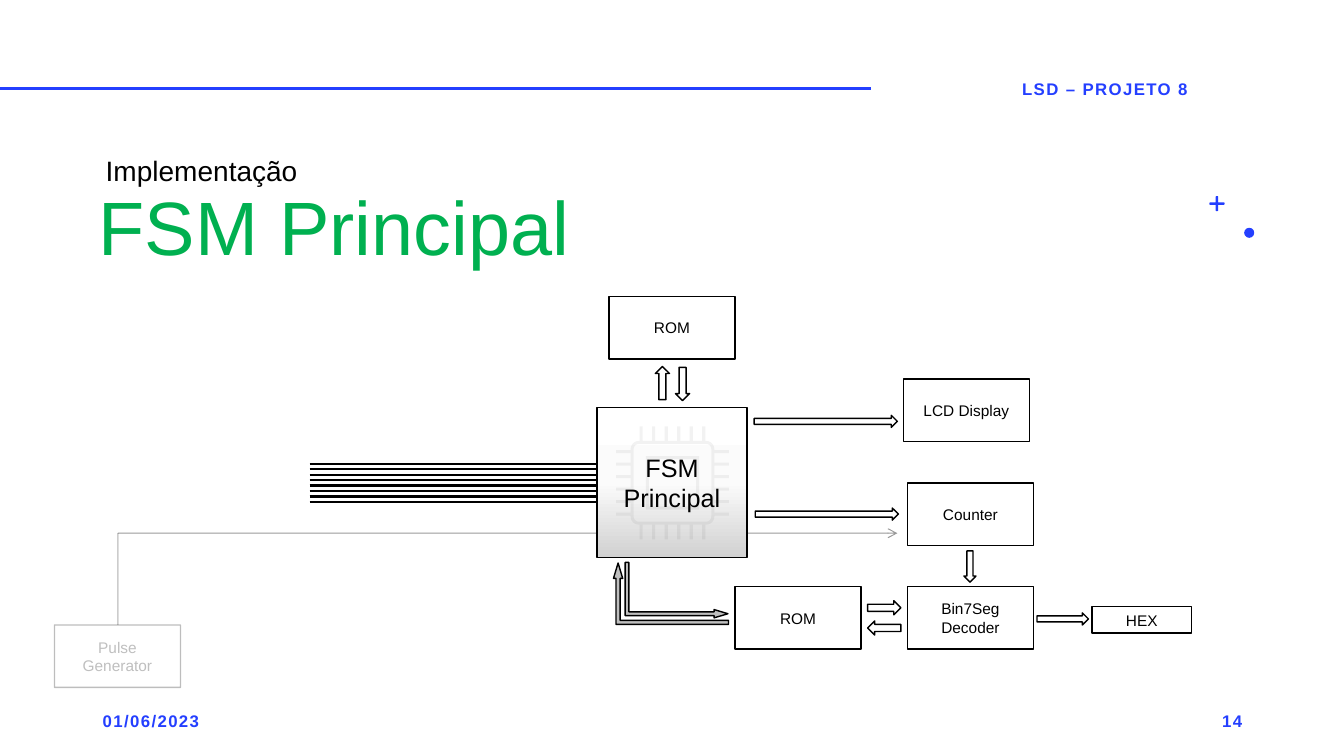
import math
from lxml import etree
from pptx import Presentation, util as u
from pptx.dml.color import RGBColor
from pptx.enum import shapes, text
from pptx.oxml.ns import qn

THEME = {
    "font": "Arial", "blue": "243FFF", "green": "00B050", "black": "000000",
    "pale": "BFBFBF", "title": 54, "subtitle": 20, "core": 18, "footer": 12, "block": 11,
}
LEFT, CENTER, RIGHT = text.PP_ALIGN.LEFT, text.PP_ALIGN.CENTER, text.PP_ALIGN.RIGHT
FOOTER = {"size": THEME["footer"], "color": THEME["blue"], "bold": True, "tracking": 1}

TITLE = ("FSM Principal", (0.88, 1.46, 6.77, 1.29))
SUBTITLE = ("Implementação", (0.95, 0.62, 6.77, 1.29))
MARGINALIA = [
    ("01/06/2023", (0.92, 6.95, 3, 0.4), LEFT),
    ("LSD – PROJETO 8", (8.71, 0.68, 4.5, 0.4), CENTER),
    ("14", (9.42, 6.95, 3, 0.4), RIGHT),
]
BLOCK_SIZE = (1.25, 0.62)
BLOCKS = [
    ("ROM", (6.04, 2.94)),
    ("LCD Display", (8.96, 3.76)),
    ("Counter", (9, 4.79)),
    ("ROM", (7.29, 5.82)),
    ("Bin7Seg\nDecoder", (9, 5.82)),
]
PULSE = ("Pulse Generator", (0.54, 6.2))
HEX = ("HEX", (10.83, 6.02, 0.99, 0.26))
CORE = ("FSM Principal", (5.92, 4.04, 1.49, 1.49))
CORE_GRADIENT = [(0, "FFFFFF"), (50, "FBFBFB"), (100, "D1D1D1")]
CHIP_CENTER = (6.67, 4.79)
PLUS_CENTER = (12.07, 2.02)
INPUTS = {"count": 8, "left": 3.07, "right": 5.92, "top": 4.6, "bottom": 4.98}
ARROWS = [
    ((6.57, 3.8), 0.33, 0.14, 270),
    ((6.77, 3.81), 0.33, 0.14, 90),
    ((8.19, 4.18), 1.42, 0.12, 0),
    ((8.2, 5.1), 1.42, 0.12, 0),
    ((9.62, 5.62), 0.31, 0.12, 90),
    ((8.77, 6.03), 0.33, 0.14, 0),
    ((8.77, 6.23), 0.33, 0.14, 180),
    ((10.54, 6.14), 0.51, 0.12, 0),
]
BENT_ARROWS = [((6.35, 5.32, 0.61, 1.14), 270, False), ((6.2, 5.58, 1.02, 0.55), 0, True)]
BENT_ADJUSTMENTS = (0.067, 0.075, 0.25, 0)

deck = Presentation()
deck.slide_width, deck.slide_height = u.Inches(13.33), u.Inches(7.5)
slide = deck.slides.add_slide(deck.slide_layouts[5])


def inches(values):
    return [u.Inches(value) for value in values]


def set_alpha(fill_parent, percent):
    for color in fill_parent.iter(qn("a:srgbClr")):
        etree.SubElement(color, qn("a:alpha"), val=str(percent * 1000))


def write(frame, words, size, color=THEME["black"], align=CENTER, bold=False,
          anchor=text.MSO_ANCHOR.MIDDLE, spacing=None, tracking=0):
    frame_format = {"word_wrap": True, "auto_size": text.MSO_AUTO_SIZE.NONE, "vertical_anchor": anchor}
    for key, value in frame_format.items():
        setattr(frame, key, value)
    frame.text = words
    for paragraph in frame.paragraphs:
        paragraph.alignment, paragraph.line_spacing = align, spacing
        for run in paragraph.runs:
            for key, value in {"name": THEME["font"], "size": u.Pt(size), "bold": bold}.items():
                setattr(run.font, key, value)
            run.font.color.rgb = RGBColor.from_string(color)
            if tracking:
                run._r.get_or_add_rPr().set("spc", str(tracking * 100))


def label(words, place, **style):
    write(slide.shapes.add_textbox(*inches(place)).text_frame, words, **style)


def paint(shape, fill=None, line=THEME["black"], fill_alpha=100, line_alpha=100):
    shape.shadow.inherit = False
    if fill:
        shape.fill.solid()
        shape.fill.fore_color.rgb = RGBColor.from_string(fill)
        if fill_alpha < 100:
            set_alpha(shape._element.spPr.find(qn("a:solidFill")), fill_alpha)
    else:
        shape.fill.background()
    if line:
        shape.line.color.rgb, shape.line.width = RGBColor.from_string(line), u.Pt(1)
        if line_alpha < 100:
            set_alpha(shape._element.spPr.find(qn("a:ln")), line_alpha)
    else:
        shape.line.fill.background()
    return shape


def preset(kind, place, **look):
    return paint(slide.shapes.add_shape(kind, *inches(place)), **look)


def block(words, place, size=THEME["block"], color=THEME["black"], **look):
    box = preset(shapes.MSO_SHAPE.RECTANGLE, place, **look)
    write(box.text_frame, words, size, color)
    return box


def wire(start, end, width, color=THEME["black"], alpha=100, arrow=False):
    link = slide.shapes.add_connector(shapes.MSO_CONNECTOR.STRAIGHT, *inches(start + end))
    link.line.color.rgb, link.line.width = RGBColor.from_string(color), u.Pt(width)
    properties = link._element.spPr
    stroke = properties.find(qn("a:ln"))
    if alpha < 100:
        set_alpha(stroke, alpha)
    if arrow:
        etree.SubElement(stroke, qn("a:tailEnd"), type="arrow")
    etree.SubElement(properties, qn("a:effectLst"))


def four_sides(side):
    points = []
    for _ in range(4):
        points += side
        side = [(-y, x) for x, y in side]
    return points


def rounded_square(half, radius=0.0, pins=(), reach=0.0):
    side = []
    for pin in pins:
        side += [(pin - 0.015, -half), (pin - 0.015, -reach), (pin + 0.015, -reach), (pin + 0.015, -half)]
    inner = half - radius
    for step in range(7 if radius else 1):
        angle = math.radians(15 * step)
        side.append((inner + radius * math.sin(angle), -inner - radius * math.cos(angle)))
    return four_sides(side)


def outline(center, contours, **look):
    placed = [[inches((center[0] + x, center[1] + y)) for x, y in contour] for contour in contours]
    builder = slide.shapes.build_freeform(*placed[0][0], scale=1.0)
    for index, contour in enumerate(placed):
        if index:
            builder.move_to(*contour[0])
        builder.add_line_segments(contour[1:], close=True)
    paint(builder.convert_to_shape(), line=None, **look)


wire((0, 0.88), (8.64, 0.88), 2, THEME["blue"])
preset(shapes.MSO_SHAPE.OVAL, (12.34, 2.26, 0.1, 0.1), fill=THEME["blue"], line=None)
plus_arm = [(-0.012, -0.012), (-0.012, -0.07), (-0.006, -0.075), (0.006, -0.075), (0.012, -0.07)]
outline(PLUS_CENTER, [four_sides(plus_arm)], fill=THEME["blue"])

title_words, title_place = TITLE
title = slide.shapes.title
title.left, title.top, title.width, title.height = inches(title_place)
heading = {"align": LEFT, "anchor": text.MSO_ANCHOR.BOTTOM, "spacing": 0.9}
write(title.text_frame, title_words, THEME["title"], THEME["green"], **heading)
label(*SUBTITLE, size=THEME["subtitle"], **heading)
for words, place, align in MARGINALIA:
    label(words, place, align=align, **FOOTER)

wire((1.17, 6.2), (1.17, 5.29), 1, alpha=20)
wire((1.17, 5.29), (8.9, 5.29), 0.75, alpha=40, arrow=True)

core = block(*CORE, size=THEME["core"])
core.fill.gradient()
core.fill.gradient_angle = 270
stops = core._element.spPr.find(".//" + qn("a:gsLst"))
stops.clear()
for position, color in CORE_GRADIENT:
    stop = etree.SubElement(stops, qn("a:gs"), pos=str(position * 1000))
    etree.SubElement(stop, qn("a:srgbClr"), val=color)

pins = [-0.31 + 0.124 * index for index in range(6)]
chip_look = {"fill": THEME["black"], "fill_alpha": 5}
outline(CHIP_CENTER, [rounded_square(0.265), rounded_square(0.235)[::-1]], **chip_look)
outline(CHIP_CENTER, [rounded_square(0.415, 0.08, pins, 0.56), rounded_square(0.385, 0.05)[::-1]], **chip_look)

gap = (INPUTS["bottom"] - INPUTS["top"]) / (INPUTS["count"] - 1)
for index in range(INPUTS["count"]):
    height = INPUTS["top"] + gap * index
    wire((INPUTS["left"], height), (INPUTS["right"], height), 1.5)

for words, corner in BLOCKS:
    block(words, corner + BLOCK_SIZE)
block(PULSE[0], PULSE[1] + BLOCK_SIZE, color=THEME["pale"], line_alpha=25)
block(*HEX)

for (x, y), length, thickness, rotation in ARROWS:
    place = (x - length / 2, y - thickness / 2, length, thickness)
    preset(shapes.MSO_SHAPE.RIGHT_ARROW, place).rotation = rotation
for place, rotation, flipped in BENT_ARROWS:
    bend = preset(shapes.MSO_SHAPE.BENT_ARROW, place, fill=THEME["pale"])
    bend.rotation = rotation
    for index, value in enumerate(BENT_ADJUSTMENTS):
        bend.adjustments[index] = value
    if flipped:
        bend._element.spPr.find(qn("a:xfrm")).set("flipV", "1")

deck.save("out.pptx")
